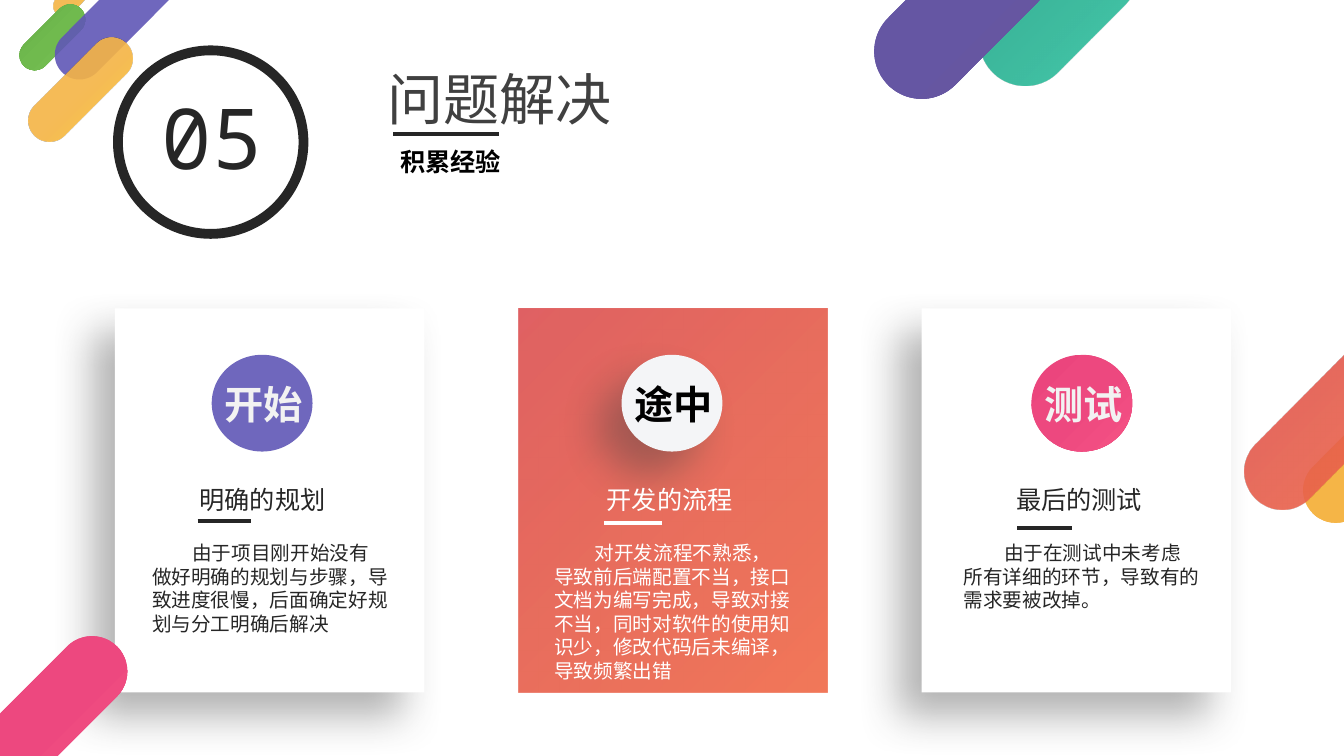
from lxml import etree
from pptx import Presentation
from pptx.dml.color import RGBColor
from pptx.enum.shapes import MSO_CONNECTOR, MSO_SHAPE
from pptx.enum.text import MSO_AUTO_SIZE, PP_ALIGN
from pptx.oxml.ns import qn
from pptx.util import Inches, Pt

FONT, MONO = "Calibri", "Noto Sans Mono"
DARK, LIGHT, WHITE, BLACK = "262626", "F2F2F2", "FFFFFF", "000000"

# Fill: colours (more than one makes a gradient with stops at equal steps), opacity in percent
CORAL = (("F06A48", "E65F4D", "DC5153"), 90)
PINK = (("F55284", "ED487F", "EB457D"), 100)
AMBER = (("FDC62F", "F5B547", "F5B547"), 90)
GOLD = (("F5B647", "F5B547", "F5B547"), 100)
GREEN = (("78C556", "70BA4E", "61A742"), 100)
TEAL = (("37CAA8", "2AB394", "22A385"), 90)
PURPLE = (("685599", "6556A3", "6456A7"), 100)
VIOLET = (("6057B6",), 90)
PALE = (("F4F5F7",), 100)
PAPER = ((WHITE,), 100)

# left, top, width, height, fill
PILLS = [
    (0.45, -0.24, 0.74, 0.21, AMBER),
    (0.12, 0.22, 0.8, 0.3, GREEN),
    (0.37, -0.12, 1.67, 0.49, VIOLET),
    (0.16, 0.68, 1.28, 0.42, AMBER),
    (-0.23, 6.64, 1.63, 0.7, PINK),
    (12.83, 4.31, 1.29, 0.65, GOLD),
    (12.15, 3.84, 2.05, 0.76, CORAL),
    (9.58, -0.39, 1.84, 0.91, TEAL),
    (8.5, -0.37, 2.1, 0.94, PURPLE),
]
PILL_TILT = 314.9

CARDS = [
    dict(fill=PAPER, raised=True, text=DARK,
         badge="开始", badge_fill=VIOLET, badge_text=LIGHT, badge_raised=False,
         heading="明确的规划", heading_left=1.88, rule=(1.96, 2.49, 5.17),
         body="由于项目刚开始没有做好明确的规划与步骤，导致进度很慢，后面确定好规划与分工明确后解决",
         body_left=1.41, body_height=1.04),
    dict(fill=CORAL, raised=False, text=WHITE,
         badge="途中", badge_fill=PALE, badge_text=BLACK, badge_raised=True,
         heading="开发的流程", heading_left=5.92, rule=(5.99, 6.57, 5.19),
         body="对开发流程不熟悉，导致前后端配置不当，接口文档为编写完成，导致对接不当，"
              "同时对软件的使用知识少，修改代码后未编译，导致频繁出错",
         body_left=5.4, body_height=1.51),
    dict(fill=PAPER, raised=True, text=DARK,
         badge="测试", badge_fill=PINK, badge_text=LIGHT, badge_raised=False,
         heading="最后的测试", heading_left=9.98, rule=(10.09, 10.63, 5.24),
         body="由于在测试中未考虑所有详细的环节，导致有的需求要被改掉。",
         body_left=9.46, body_height=0.81),
]
CARD_LEFT, CARD_PITCH = 1.14, 4.0
BADGE_LEFT, BADGE_PITCH = 2.1, 4.065


def rgb(value):
    return RGBColor.from_string(value)


def child(parent, tag, **attributes):
    """Append a DrawingML element to parent."""
    element = etree.SubElement(parent, qn(f"a:{tag}"))
    for key, value in attributes.items():
        element.set(key, str(value))
    return element


def add_colour(parent, value, opacity):
    colour = child(parent, "srgbClr", val=value)
    if opacity < 100:
        child(colour, "alpha", val=opacity * 1000)


def paint(shape, colours, opacity):
    properties = shape.element.spPr
    if len(colours) == 1:
        shape.fill.solid()
        shape.fill.fore_color.rgb = rgb(colours[0])
        if opacity < 100:
            colour = properties.find(f"{qn('a:solidFill')}/{qn('a:srgbClr')}")
            child(colour, "alpha", val=opacity * 1000)
        return
    shape.fill.gradient()
    gradient = properties.find(qn("a:gradFill"))
    for part in list(gradient):
        gradient.remove(part)
    stops = child(gradient, "gsLst")
    for i, value in enumerate(colours):
        stop = child(stops, "gs", pos=i * 100000 // (len(colours) - 1))
        add_colour(stop, value, opacity)
    focus = child(gradient, "path", path="circle")
    child(focus, "fillToRect", l=100000, t=100000)


def add_figure(kind, left, top, width, height, fill=None, raised=False):
    """Add a preset shape without outline; raised gives it a soft shadow."""
    shape = slide.shapes.add_shape(kind, *map(Inches, (left, top, width, height)))
    shape.shadow.inherit = False
    shape.line.fill.background()
    if fill:
        paint(shape, *fill)
    else:
        shape.fill.background()
    if raised:
        effects = shape.element.spPr.find(qn("a:effectLst"))
        shadow = child(effects, "outerShdw", blurRad=Pt(30), dist=Pt(23),
                       dir=135 * 60000, algn="tr", rotWithShape=0)
        add_colour(shadow, "404040", 40)
    return shape


def add_text(text, left, top, width, height, colour, size, bold=False, name=FONT,
             align=PP_ALIGN.LEFT, wrap=True):
    box = slide.shapes.add_textbox(*map(Inches, (left, top, width, height)))
    frame = box.text_frame
    frame.word_wrap = wrap
    frame.auto_size = MSO_AUTO_SIZE.SHAPE_TO_FIT_TEXT
    paragraph = frame.paragraphs[0]
    paragraph.alignment = align
    run = paragraph.add_run()
    run.text = text
    run.font.color.rgb = rgb(colour)
    for key, value in dict(size=Pt(size), bold=bold, name=name).items():
        setattr(run.font, key, value)
    return paragraph


def add_rule(start, end, y, colour):
    rule = slide.shapes.add_connector(
        MSO_CONNECTOR.STRAIGHT, *map(Inches, (start, y, end, y)))
    rule.line.color.rgb = rgb(colour)
    rule.line.width = Pt(3)
    child(rule.element.spPr, "effectLst")


def add_card(index, card):
    badge_left = BADGE_LEFT + index * BADGE_PITCH
    add_figure(MSO_SHAPE.RECTANGLE, CARD_LEFT + index * CARD_PITCH, 3.06, 3.07, 3.81,
               card["fill"], card["raised"])
    add_figure(MSO_SHAPE.OVAL, badge_left, 3.52, 1, 0.96,
               card["badge_fill"], card["badge_raised"])
    add_text(card["badge"], badge_left + 0.02, 3.72, 0.99, 0.57, card["badge_text"], 28,
             bold=True, align=PP_ALIGN.CENTER, wrap=False)
    add_text(card["heading"], card["heading_left"], 4.76, 1.6, 0.4, card["text"], 18)
    body = add_text(card["body"], card["body_left"], 5.32, 2.54, card["body_height"],
                    card["text"], 14)
    body._p.get_or_add_pPr().set("indent", str(Inches(0.4)))
    add_rule(*card["rule"], card["text"])


prs = Presentation()
prs.slide_width, prs.slide_height = Inches(13.33), Inches(7.5)
slide = prs.slides.add_slide(prs.slide_layouts[6])

for index, card in enumerate(CARDS):
    add_card(index, card)

for *place, fill in PILLS:
    pill = add_figure(MSO_SHAPE.ROUNDED_RECTANGLE, *place, fill)
    pill.adjustments[0] = 0.5
    pill.rotation = PILL_TILT

ring = add_figure(MSO_SHAPE.OVAL, 1.17, 0.5, 1.84, 1.82)
ring.line.color.rgb = rgb(DARK)
ring.line.width = Pt(7)
number = add_text("05", 0.86, 0.8, 2.49, 1.11, DARK, 60, name=MONO, align=PP_ALIGN.CENTER)
number.runs[0].font._element.set("spc", "80")

add_text("问题解决", 3.75, 0.59, 3.66, 0.77, "404040", 40)
add_text("积累经验", 3.87, 1.4, 1.37, 0.4, BLACK, 18, bold=True)
add_rule(3.9, 4.95, 1.33, DARK)

prs.save("out.pptx")
